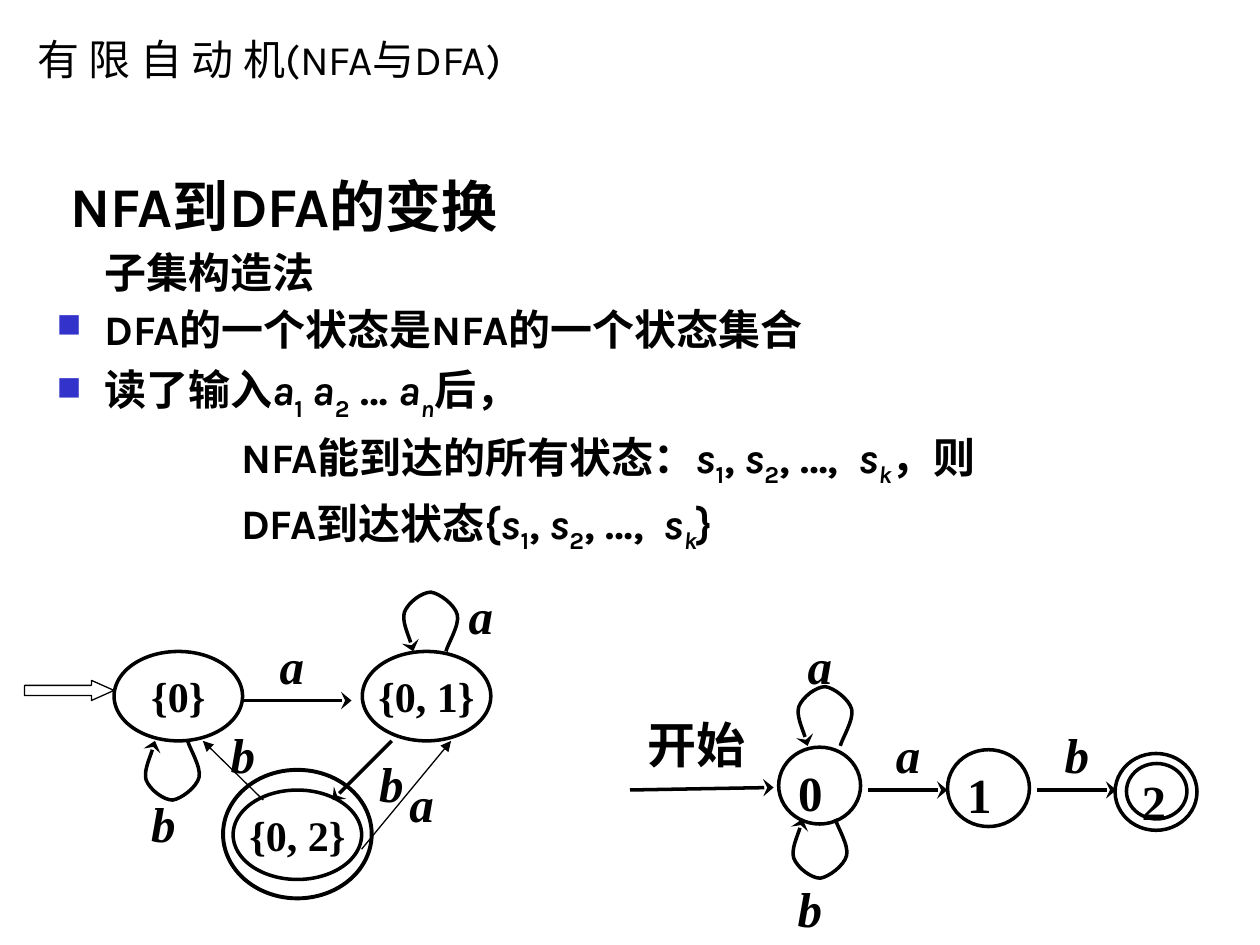
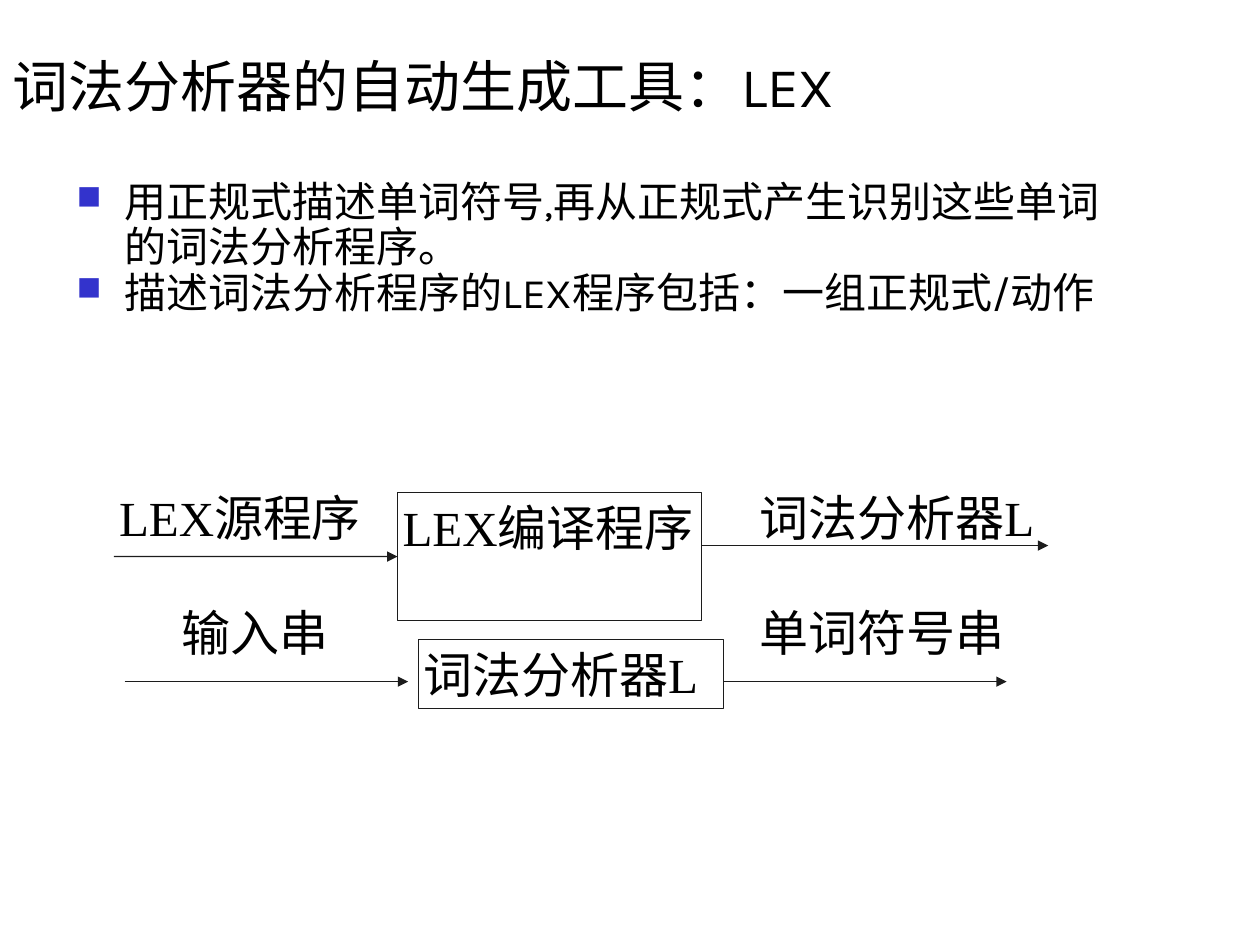
from dataclasses import dataclass
from typing import NamedTuple

from lxml import etree
from pptx import Presentation
from pptx.dml.color import RGBColor
from pptx.enum.shapes import MSO_CONNECTOR, MSO_SHAPE
from pptx.enum.text import MSO_ANCHOR, PP_ALIGN
from pptx.oxml.ns import qn
from pptx.util import Emu, Inches, Pt

STRAIGHT = MSO_CONNECTOR.STRAIGHT
ELLIPSE, RECTANGLE, RIGHT_ARROW = MSO_SHAPE.OVAL, MSO_SHAPE.RECTANGLE, MSO_SHAPE.RIGHT_ARROW
TOP, MIDDLE = MSO_ANCHOR.TOP, MSO_ANCHOR.MIDDLE
LEFT, CENTER = PP_ALIGN.LEFT, PP_ALIGN.CENTER
LEFT_SIDE = 1

SLIDE_WIDTH, SLIDE_HEIGHT = Inches(10), Inches(7.5)
COLUMNS, ROWS = 100, 75
HANGING = Inches(0.38)
TAB_COUNT = 8


@dataclass(frozen=True)
class Theme:
    ink: str = "000000"
    frame: str = "1C1C1C"
    bullet: str = "3333CC"
    paper: str = "FFFFFF"
    sans: str = "Karla"
    chinese: str = "Noto Sans CJK SC"
    serif: str = "Times New Roman"
    symbols: str = "Wingdings"
    heading: int = 32
    label: int = 28
    body: int = 24
    thin: float = 0.75
    bold: float = 2
    ring: float = 2.25


THEME = Theme()


class Area(NamedTuple):
    left: float
    top: float
    width: float
    height: float


class Insets(NamedTuple):
    left: float
    top: float
    right: float
    bottom: float


class Span(NamedTuple):
    text: str
    italic: bool = False
    baseline: int = 0
    face: str = THEME.sans


class Para(NamedTuple):
    spans: list[Span]
    size: int = THEME.body
    bullet: bool = False


class State(NamedTuple):
    text: str
    area: Area
    insets: Insets
    size: int = THEME.label
    centered: bool = False


class Arrow(NamedTuple):
    start: tuple[float, float]
    end: tuple[float, float]
    width: float = THEME.bold
    head: str = "stealth"


class Loop(NamedTuple):
    column: float
    row: float
    direction: int


PAGE_INSETS = Insets(0.1, 0.05, 0.1, 0.05)
LABEL_INSETS = Insets(0.06, 0.03, 0.06, 0.03)
STATE_INSETS = Insets(0.06, 0.03, 0.02, 0.05)
FLOW_INSETS = Insets(0.04, 0.04, 0.04, 0.04)

HEAD_WIDTHS = {"stealth": "lg", "triangle": "med"}
LOOP_CONTROLS = [
    (0.1, 0.5), (1.1, 2.1), (0.9, 2.9),
    (0.7, 3.7), (-0.5, 4.6), (-1.2, 4.7),
    (-1.9, 4.7), (-3, 3.9), (-3.3, 3.1),
    (-3.5, 2.4), (-2.7, 0.6), (-2.6, 0),
]


def across(columns: float) -> Emu:
    return Emu(round(SLIDE_WIDTH * columns / COLUMNS))


def down(rows: float) -> Emu:
    return Emu(round(SLIDE_HEIGHT * rows / ROWS))


def place(area: Area) -> tuple[Emu, Emu, Emu, Emu]:
    return across(area.left), down(area.top), across(area.width), down(area.height)


def fill_paper(item) -> None:
    item.fill.solid()
    item.fill.fore_color.rgb = RGBColor.from_string(THEME.paper)


def add_span(para, text: str, *, size: int, face: str, bold: bool = False,
             italic: bool = False, baseline: int = 0) -> None:
    span = para.add_run()
    span.text = text
    font = span.font
    font.size, font.bold, font.italic = Pt(size), bold, italic
    font.color.rgb = RGBColor.from_string(THEME.ink)
    font.name = face
    properties = font._element
    etree.SubElement(properties, qn("a:ea"), typeface=THEME.chinese)
    if baseline:
        properties.set("baseline", str(baseline * 1000))


def set_frame(box, insets: Insets, *, anchor=TOP, wrap: bool = True):
    frame = box.text_frame
    frame.word_wrap, frame.vertical_anchor = wrap, anchor
    frame.margin_left, frame.margin_top, frame.margin_right, frame.margin_bottom = map(Inches, insets)
    return frame


def format_list_item(para, bullet: bool) -> None:
    properties = para._p.get_or_add_pPr()
    properties.set("marL", str(HANGING))
    properties.set("indent", str(-HANGING))
    properties.set("defTabSz", str(Inches(1)))
    if bullet:
        colour = etree.SubElement(properties, qn("a:buClr"))
        etree.SubElement(colour, qn("a:srgbClr"), val=THEME.bullet)
        etree.SubElement(properties, qn("a:buSzPct"), val="80000")
        etree.SubElement(properties, qn("a:buFont"), typeface=THEME.symbols, charset="2")
        etree.SubElement(properties, qn("a:buChar"), char="n")
    else:
        etree.SubElement(properties, qn("a:buNone"))
    tabs = etree.SubElement(properties, qn("a:tabLst"))
    for stop in range(TAB_COUNT):
        etree.SubElement(tabs, qn("a:tab"), pos=str(Inches(stop + bullet)), algn="l")


def add_body(page, area: Area, paras: list[Para], *, spacing: float, bold: bool = False):
    box = page.shapes.add_textbox(*place(area))
    frame = set_frame(box, PAGE_INSETS)
    for number, item in enumerate(paras):
        para = frame.add_paragraph() if number else frame.paragraphs[0]
        format_list_item(para, item.bullet)
        para.line_spacing = spacing
        for span in item.spans:
            add_span(para, span.text, size=item.size, face=span.face, bold=bold,
                     italic=span.italic, baseline=span.baseline)
    return box


def add_text(page, text: str, area: Area, insets: Insets, *, size: int = THEME.label,
             face: str = THEME.serif, bold: bool = False, italic: bool = False, anchor=TOP):
    box = page.shapes.add_textbox(*place(area))
    frame = set_frame(box, insets, anchor=anchor)
    add_span(frame.paragraphs[0], text, size=size, face=face, bold=bold, italic=italic)
    return box


def add_title(page, text: str, area: Area, size: int) -> None:
    fill_paper(add_text(page, text, area, PAGE_INSETS, size=size, face=THEME.sans, anchor=MIDDLE))


def set_line(item, width: float, colour: str = THEME.ink, head: str = "") -> None:
    item.line.color.rgb = RGBColor.from_string(colour)
    item.line.width = Pt(width)
    if head:
        etree.SubElement(item.line._get_or_add_ln(), qn("a:tailEnd"), type=head, w=HEAD_WIDTHS[head])


def add_outline(page, kind, area: Area, width: float, colour: str = THEME.ink):
    shape = page.shapes.add_shape(kind, *place(area))
    shape.shadow.inherit = False
    shape.fill.background()
    set_line(shape, width, colour)
    return shape


def add_state(page, state: State) -> None:
    shape = add_outline(page, ELLIPSE, state.area, THEME.bold)
    frame = set_frame(shape, state.insets, wrap=not state.centered,
                      anchor=MIDDLE if state.centered else TOP)
    para = frame.paragraphs[0]
    para.alignment = CENTER if state.centered else LEFT
    add_span(para, state.text, size=state.size, face=THEME.serif, bold=True)


def add_arrow(page, arrow: Arrow, colour: str = THEME.ink):
    line = page.shapes.add_connector(STRAIGHT, across(arrow.start[0]), down(arrow.start[1]),
                                     across(arrow.end[0]), down(arrow.end[1]))
    set_line(line, arrow.width, colour, arrow.head)
    etree.SubElement(line._element.spPr, qn("a:effectLst"))
    return line


def curve_segments(shape) -> None:
    segments = list(shape._element.iter(qn("a:lnTo")))
    outline = segments[0].getparent()
    for number, segment in enumerate(segments):
        if number % 3 == 0:
            curve = etree.SubElement(outline, qn("a:cubicBezTo"))
        curve.append(segment[0])
        outline.remove(segment)


def add_loop(page, loop: Loop) -> None:
    builder = page.shapes.build_freeform(across(loop.column), down(loop.row))
    builder.add_line_segments([(across(loop.column + x), down(loop.row + loop.direction * y))
                               for x, y in LOOP_CONTROLS], close=False)
    shape = builder.convert_to_shape()
    curve_segments(shape)
    shape.shadow.inherit = False
    shape.fill.background()
    set_line(shape, THEME.bold, head="stealth")


def indexed(name: str, index: str, baseline: int = -25) -> list[Span]:
    return [Span(name, italic=True), Span(index, italic=index.isalpha(), baseline=baseline)]


def state_list() -> list[Span]:
    return [*indexed("s", "1"), Span(","), *indexed(" s", "2"), Span(", …, "), *indexed(" s", "k")]


def build_subset_page(page) -> None:
    add_body(page, Area(3.5, 12.3, 90.8, 35.8), [
        Para([Span(" NFA到DFA的变换")], THEME.heading),
        Para([Span("\t子集构造法")]),
        Para([Span("DFA的一个状态是NFA的一个状态集合")], bullet=True),
        Para([Span("读了输入", face=THEME.chinese), *indexed("a", "1", -30), *indexed(" a", "2", -30),
              Span(" … "), *indexed("a", "n", -30), Span("后", face=THEME.chinese), Span("，")],
             bullet=True),
        Para([Span("\t\t NFA能到达的所有状态："), *state_list(), Span("，则")]),
        Para([Span("\t\t DFA到达状态{"), *state_list(), Span("}")]),
    ], spacing=1.15, bold=True)

    for text, left, top in [("0", 61.8, 59.3), ("1", 75.2, 59.5)]:
        add_state(page, State(text, Area(left, top, 6.5, 6.1), STATE_INSETS))
    add_outline(page, ELLIPSE, Area(88.5, 59.8, 6.5, 6.1), THEME.bold)
    add_state(page, State("2", Area(89.4, 60.6, 4.8, 4.4), Insets(0.05, 0, 0.01, 0)))
    for text, left, top in [("{0}", 9.05, 51.7), ("{0, 1}", 28.75, 51.7), ("{0, 2}", 18.5, 62.7)]:
        add_state(page, State(text, Area(left, top, 10.2, 7.1), LABEL_INSETS, THEME.body, True))
    add_outline(page, ELLIPSE, Area(17.7, 61.1, 11.8, 10.2), THEME.ring)
    entry = add_outline(page, RIGHT_ARROW, Area(1.95, 54, 7.1, 1.6), THEME.thin)
    entry.adjustments[0], entry.adjustments[1] = 0.5, 1.12

    for loop in [Loop(66.7, 59.2, -1), Loop(66.3, 65, 1), Loop(14.9, 58.8, 1), Loop(35.4, 51.7, -1)]:
        add_loop(page, loop)
    for arrow in [
        Arrow((50, 62.7), (61.4, 62.5)),
        Arrow((68.9, 62.7), (75.2, 62.7)),
        Arrow((82.3, 62.7), (88.6, 62.7)),
        Arrow((19.3, 55.6), (27.9, 55.6)),
        Arrow((31.1, 58.8), (26.4, 63.5)),
        Arrow((28.7, 67.4), (35.8, 58.8), THEME.thin, "triangle"),
        Arrow((20.9, 63.5), (16.1, 58.8), THEME.thin, "triangle"),
    ]:
        add_arrow(page, arrow)

    symbols = {
        "a": [(70.5, 57.2), (63.5, 50.1), (21.6, 50.1), (36.6, 46.2), (31.9, 61.1)],
        "b": [(62.7, 69.4), (83.9, 57.2), (11.4, 62.7), (29.5, 59.5), (17.7, 57.2)],
    }
    for symbol, corners in symbols.items():
        for left, top in corners:
            add_text(page, symbol, Area(left, top, 5.3, 4.9), LABEL_INSETS, bold=True, italic=True)
    add_text(page, "开始", Area(50.8, 56.4, 10.6, 5.7), LABEL_INSETS, bold=True)
    add_title(page, "有 限 自 动 机(NFA与DFA)", Area(2, 1.25, 41, 6.8), THEME.body)


def build_lex_page(page) -> None:
    add_title(page, "词法分析器的自动生成工具：LEX", Area(0, 2.8, 70.1, 7.9), THEME.heading)
    fill_paper(add_body(page, Area(5.1, 13.9, 85, 23.3), [
        Para([Span("用正规式描述单词符号,再从正规式产生识别这些单词的词法分析程序。")], bullet=True),
        Para([Span("描述词法分析程序的LEX程序包括：一组正规式/动作")], bullet=True),
    ], spacing=0.9))

    for text, left, top, width in [
        ("LEX源程序", 9.05, 38.3, 21.7), ("词法分析器L", 59.9, 38.3, 24.2),
        ("输入串", 14, 47.4, 15.8), ("单词符号串", 59.9, 47.4, 21.7),
    ]:
        add_text(page, text, Area(left, top, width, 5.5), FLOW_INSETS)

    boxes = []
    for text, area in [("LEX编译程序", Area(31.55, 39.1, 24.15, 10.15)),
                       ("词法分析器L", Area(33.2, 50.75, 24.2, 5.5))]:
        box = add_outline(page, RECTANGLE, area, THEME.thin, THEME.frame)
        para = set_frame(box, FLOW_INSETS).paragraphs[0]
        para.alignment = LEFT
        add_span(para, text, size=THEME.label, face=THEME.serif)
        boxes.append(box)

    arrows = [add_arrow(page, Arrow((start, row), (end, row), THEME.thin, "triangle"), THEME.frame)
              for start, end, row in [(9.05, 31.55, 44.17), (55.7, 83.2, 43.3),
                                      (9.9, 32.4, 54.1), (57.4, 79.9, 54.1)]]
    arrows[0].end_connect(boxes[0], LEFT_SIDE)


def main() -> None:
    deck = Presentation()
    deck.slide_width, deck.slide_height = SLIDE_WIDTH, SLIDE_HEIGHT
    blank = deck.slide_layouts[6]
    for build in (build_subset_page, build_lex_page):
        page = deck.slides.add_slide(blank)
        fill_paper(page.background)
        build(page)
    deck.save("out.pptx")


if __name__ == "__main__":
    main()
